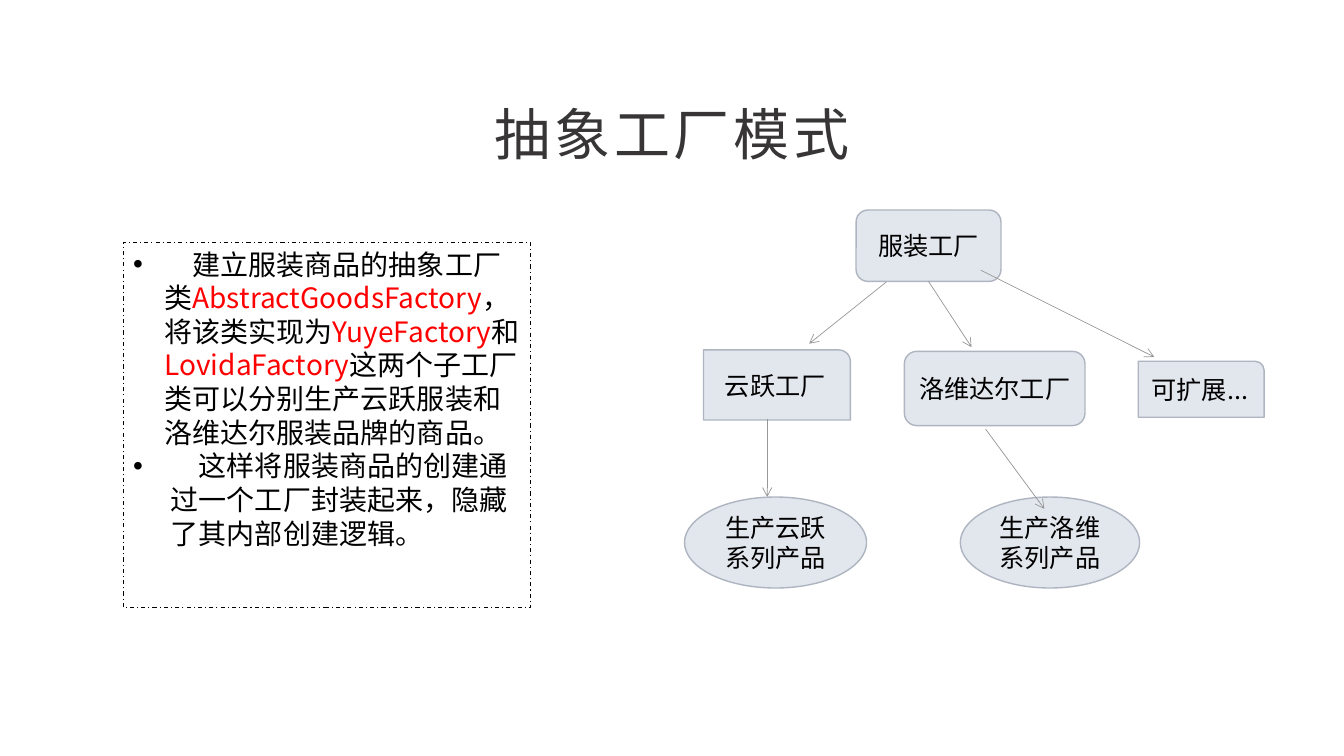
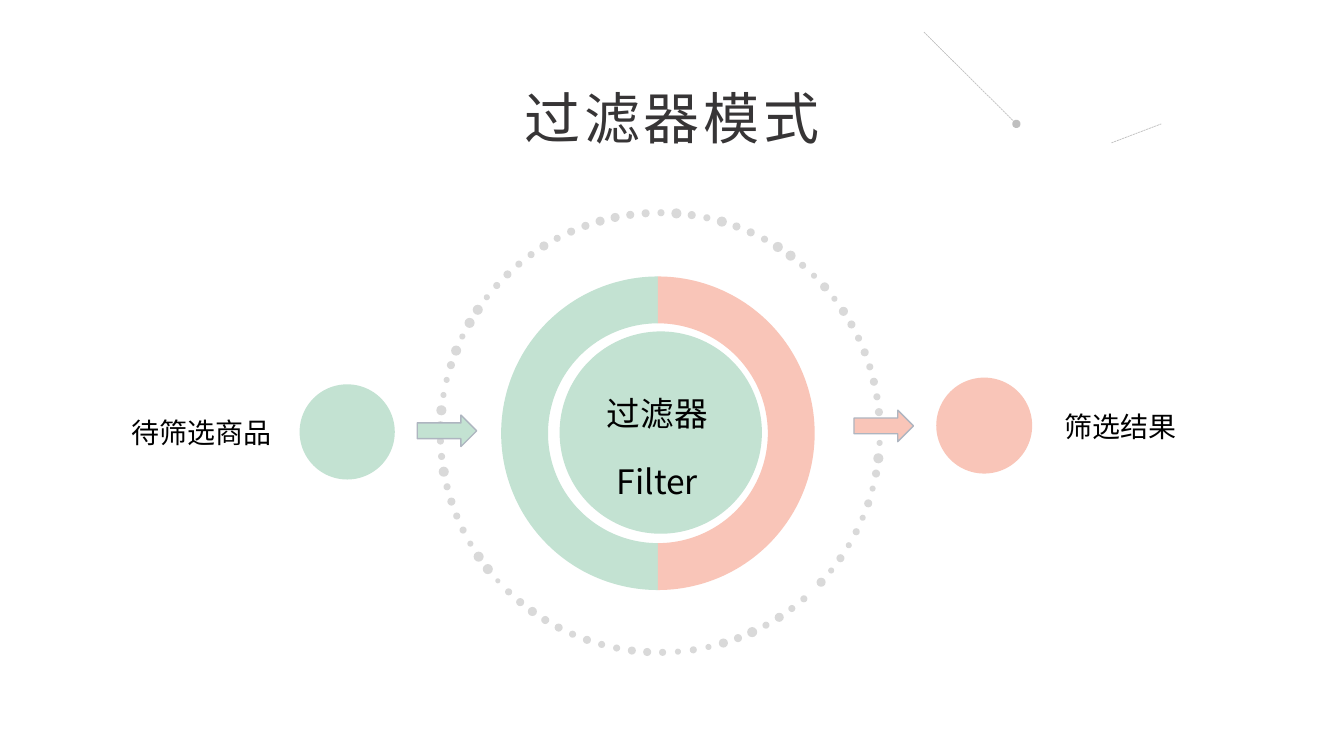
import math

from lxml import etree
from pptx import Presentation
from pptx.dml.color import RGBColor
from pptx.enum import dml, shapes, text
from pptx.oxml.ns import qn
from pptx.util import Pt

FONT = "Noto Sans CJK SC"
COLORS = {
    "title": "373536", "black": "000000", "red": "FF0000",
    "box": "E2E6ED", "outline": "AEB5C0", "arrow": "979797",
    "mint": "C3E2D2", "coral": "F9C5B8", "dot": "D9D9D9", "accent": "BFBFBF",
}
SHAPE = shapes.MSO_SHAPE
ALIGN = text.PP_ALIGN
ANCHOR = text.MSO_ANCHOR

# Diameters of the dots around the filter, in hundredths of an inch
DOT_SIZES = [
    9, 6, 8, 6, 7, 6, 8, 6, 8, 10, 6, 10, 8, 7, 8, 7, 8, 7, 8, 9,
    6, 9, 6, 7, 10, 10, 7, 8, 8, 10, 7, 8, 10, 7, 8, 8, 9, 9, 8, 8,
    7, 9, 7, 7, 8, 7, 6, 10, 10, 6, 10, 8, 6, 6, 10, 9, 7, 7, 10, 7,
    8, 7, 7, 6, 10, 10, 5, 7, 8, 9, 8, 8, 7, 8, 7, 7, 8, 8, 7, 6,
    7, 6, 9, 8, 10, 7, 9, 7, 7,
]


def rgb(name):
    return RGBColor.from_string(COLORS[name])


def write(shape, paragraphs, size=18, color="black", align=ALIGN.CENTER, anchor=ANCHOR.MIDDLE,
          wrap=True, spacing=None, tracking=None, hanging=()):
    """Fill a shape; each paragraph is a string or a list of (text, colour) runs.

    hanging holds one bullet indent per paragraph.
    """
    frame = shape.text_frame
    frame.word_wrap = wrap
    frame.vertical_anchor = anchor
    for index, content in enumerate(paragraphs):
        paragraph = frame.add_paragraph() if index else frame.paragraphs[0]
        paragraph.alignment = align
        if spacing:
            paragraph.line_spacing = spacing
        if hanging:
            add_bullet(paragraph, hanging[index])
        runs = [(content, color)] if isinstance(content, str) else content
        for words, run_color in runs:
            run = paragraph.add_run()
            run.text = words
            run.font.size = Pt(size)
            run.font.name = FONT
            run.font.color.rgb = rgb(run_color)
            properties = run.font._element
            etree.SubElement(properties, qn("a:ea")).set("typeface", FONT)
            if tracking:
                properties.set("spc", str(round(tracking * 100)))


def add_bullet(paragraph, indent):
    properties = paragraph._p.get_or_add_pPr()
    properties.set("marL", str(Pt(indent)))
    properties.set("indent", str(-Pt(indent)))
    etree.SubElement(properties, qn("a:buFont")).set("typeface", "Arial")
    etree.SubElement(properties, qn("a:buChar")).set("char", "•")


def add_text(slide, left, top, width, height, paragraphs, **style):
    box = slide.shapes.add_textbox(Pt(left), Pt(top), Pt(width), Pt(height))
    write(box, paragraphs, **style)


def add_title(slide, title, top):
    add_text(slide, 335, top, 290, 55, [title], size=40, color="title",
             anchor=ANCHOR.TOP, tracking=2.7)


def add_figure(slide, kind, left, top, width, height, fill=None, line=None, line_width=1):
    shape = slide.shapes.add_shape(kind, Pt(left), Pt(top), Pt(width), Pt(height))
    shape.shadow.inherit = False
    if fill:
        shape.fill.solid()
        shape.fill.fore_color.rgb = rgb(fill)
    else:
        shape.fill.background()
    if line:
        shape.line.color.rgb = rgb(line)
        shape.line.width = Pt(line_width)
    else:
        shape.line.fill.background()
    return shape


def add_node(slide, kind, left, top, width, height, label):
    node = add_figure(slide, kind, left, top, width, height, "box", "outline")
    write(node, [label])
    return node


def add_circle(slide, center_x, center_y, diameter, fill):
    return add_figure(slide, SHAPE.OVAL, center_x - diameter / 2, center_y - diameter / 2,
                      diameter, diameter, fill)


def add_line(slide, start, end, color, tail=None, dash=None):
    line = slide.shapes.add_connector(
        shapes.MSO_CONNECTOR.STRAIGHT, *(Pt(value) for value in (*start, *end)))
    line.line.color.rgb = rgb(color)
    line.line.width = Pt(0.5)
    if dash:
        line.line.dash_style = dash
    if tail:
        etree.SubElement(line.line._get_or_add_ln(), qn("a:tailEnd")).set("type", tail)
    etree.SubElement(line._element.spPr, qn("a:effectLst"))
    return line


def add_half_ring(slide, center, radius, thickness, start_angle, end_angle, fill):
    x, y = center
    ring = add_figure(slide, SHAPE.BLOCK_ARC, x - radius, y - radius, 2 * radius, 2 * radius, fill)
    # Angles are stored in 60000ths of a degree and scaled by 100000
    ring.adjustments[0] = start_angle * 0.6
    ring.adjustments[1] = end_angle * 0.6
    ring.adjustments[2] = thickness / (2 * radius)


def add_dotted_circle(slide, center, radius, start_angle=42.9, step=4.02):
    x, y = center
    for index, size in enumerate(DOT_SIZES):
        angle = math.radians(start_angle - index * step)
        add_circle(slide, x + radius * math.cos(angle), y + radius * math.sin(angle),
                   size * 0.72, "dot")


def build_abstract_factory(slide):
    add_title(slide, "抽象工厂模式", 67.5)
    note = add_figure(slide, SHAPE.RECTANGLE, 88, 173, 291, 261, line="black", line_width=0.75)
    note.line.dash_style = dml.MSO_LINE.DASH_DOT
    write(note, [
        [("　建立服装商品的抽象工厂类", "black"), ("AbstractGoodsFactory", "red"),
         ("，将该类实现为", "black"), ("YuyeFactory", "red"), ("和", "black"),
         ("LovidaFactory", "red"),
         ("这两个子工厂类可以分别生产云跃服装和洛维达尔服装品牌的商品。", "black")],
        "　这样将服装商品的创建通过一个工厂封装起来，隐藏了其内部创建逻辑。",
    ], size=20, align=ALIGN.LEFT, anchor=ANCHOR.TOP, hanging=(22.5, 27))

    root = add_node(slide, SHAPE.ROUNDED_RECTANGLE, 611.5, 150, 103.5, 51, "服装工厂")
    for kind, left, top, width, height, label in [
        (SHAPE.ROUND_1_RECTANGLE, 502.5, 250, 105, 50, "云跃工厂"),
        (SHAPE.ROUNDED_RECTANGLE, 646, 251, 129, 53, "洛维达尔工厂"),
        (SHAPE.ROUND_1_RECTANGLE, 813, 258, 90, 40, "可扩展..."),
        (SHAPE.OVAL, 489, 355, 130, 65, "生产云跃系列产品"),
        (SHAPE.OVAL, 686, 355, 128, 65, "生产洛维系列产品"),
    ]:
        add_node(slide, kind, left, top, width, height, label)

    middle = add_line(slide, (663, 201), (694, 248), "arrow", tail="arrow")
    middle.begin_connect(root, 2)
    for start, end in [
        ((633, 201.5), (578, 245.5)),
        ((700.5, 193), (824.5, 255)),
        ((548, 299), (548, 355)),
        ((704, 306.5), (746, 363.5)),
    ]:
        add_line(slide, start, end, "arrow", tail="arrow")


def build_filter(slide):
    center = (470, 309.5)
    add_title(slide, "过滤器模式", 56)
    add_text(slide, 753, 279, 118, 51, ["筛选结果"], size=20, align=ALIGN.LEFT, wrap=False)
    add_text(slide, 76, 284, 125, 49, ["待筛选商品"], size=20, align=ALIGN.RIGHT, wrap=False)

    add_half_ring(slide, center, 112, 33.5, 90, 270, "mint")
    add_half_ring(slide, center, 112, 33.5, 270, 90, "coral")
    add_dotted_circle(slide, (471.5, 309), 157)
    add_circle(slide, 703, 304, 68.5, "coral")
    add_circle(slide, 248, 308.5, 68, "mint")

    dash = dml.MSO_LINE.SQUARE_DOT
    add_line(slide, (794, 102), (829.5, 88.5), "accent", dash=dash)
    add_line(slide, (660, 23), (726, 88.5), "accent", tail="oval", dash=dash)

    add_circle(slide, 472, 309, 144.5, "mint")
    add_text(slide, 404.5, 263.5, 130, 91.5, ["过滤器", "Filter"], size=24,
             wrap=False, spacing=1.7)
    for left, top, fill in [(298, 296.5, "mint"), (610, 293, "coral")]:
        add_figure(slide, SHAPE.RIGHT_ARROW, left, top, 42.5, 22.5, fill, "outline")


def main():
    presentation = Presentation()
    presentation.slide_width, presentation.slide_height = Pt(960), Pt(540)
    for build in (build_abstract_factory, build_filter):
        build(presentation.slides.add_slide(presentation.slide_layouts[6]))
    presentation.save("out.pptx")


if __name__ == "__main__":
    main()
